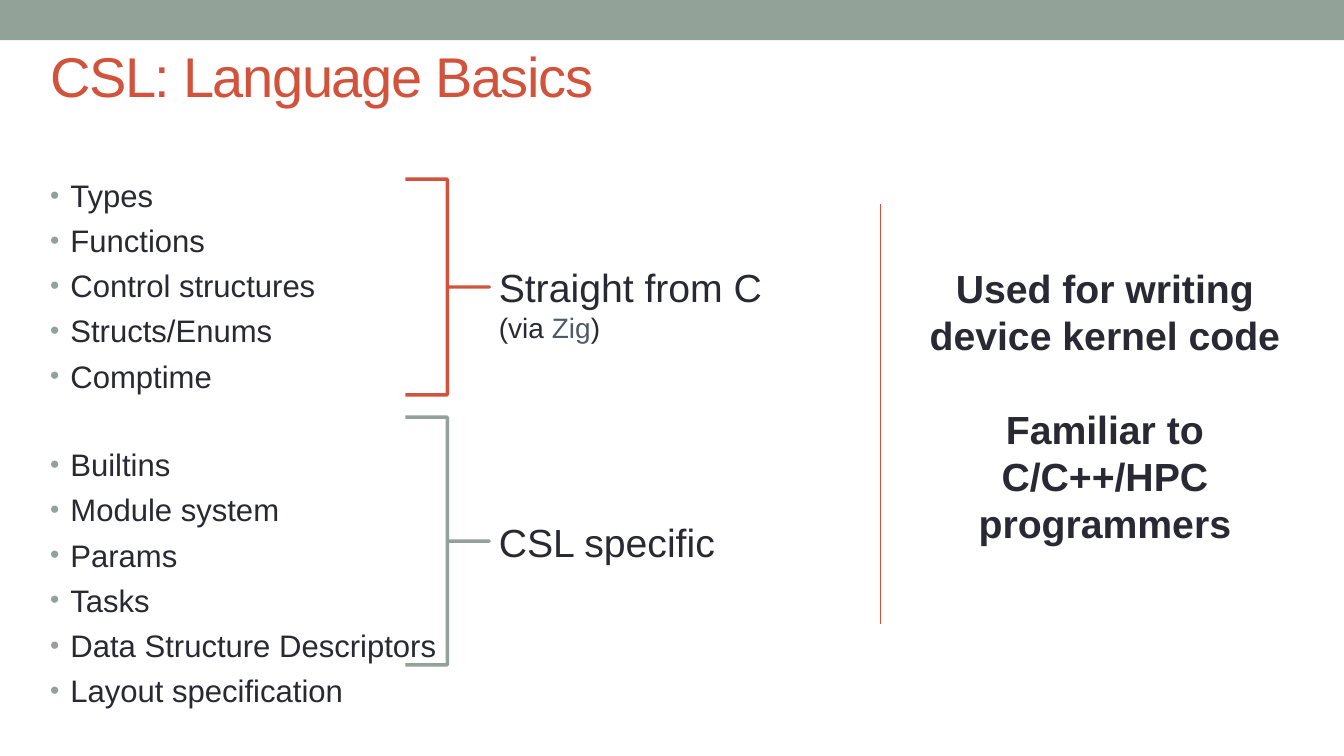
from lxml import etree
from pptx import Presentation
from pptx.dml.color import RGBColor
from pptx.enum.shapes import MSO_CONNECTOR, MSO_SHAPE
from pptx.enum.text import MSO_ANCHOR, PP_ALIGN
from pptx.oxml.ns import qn
from pptx.util import Pt

RECTANGLE = MSO_SHAPE.RECTANGLE
RIGHT_BRACE = MSO_SHAPE.RIGHT_BRACE
STRAIGHT = MSO_CONNECTOR.STRAIGHT
TOP, MIDDLE = MSO_ANCHOR.TOP, MSO_ANCHOR.MIDDLE
LEFT, CENTER = PP_ALIGN.LEFT, PP_ALIGN.CENTER

COLORS = {"sage": "93A299", "rust": "D2533C", "ink": "292934", "slate": "4C5A6A"}
C_TOPICS = ["Types", "Functions", "Control structures", "Structs/Enums", "Comptime"]
CSL_TOPICS = ["Builtins", "Module system", "Params", "Tasks",
              "Data Structure Descriptors", "Layout specification"]


class SlideBuilder:
    font = "Arial"

    def __init__(self, slide):
        self.slide = slide

    def color(self, name):
        return RGBColor.from_string(COLORS[name])

    def bar(self, left, top, width, height, color):
        shape = self.slide.shapes.add_shape(RECTANGLE, Pt(left), Pt(top), Pt(width), Pt(height))
        shape.shadow.inherit = False
        shape.fill.solid()
        shape.fill.fore_color.rgb = self.color(color)
        shape.line.fill.background()

    def brace(self, left, top, width, height, color):
        shape = self.slide.shapes.add_shape(RIGHT_BRACE, Pt(left), Pt(top), Pt(width), Pt(height))
        shape.shadow.inherit = False
        shape.adjustments[0] = 0
        shape.adjustments[1] = 0.5
        shape.fill.background()
        shape.line.color.rgb = self.color(color)
        shape.line.width = Pt(2.5)

    def divider(self, x, top, bottom, color):
        connector = self.slide.shapes.add_connector(STRAIGHT, Pt(x), Pt(top), Pt(x), Pt(bottom))
        connector.line.color.rgb = self.color(color)
        connector.line.width = Pt(0.75)
        etree.SubElement(connector._element.spPr, qn("a:effectLst"))

    def text(self, left, top, width, height, lines, size, color="ink",
             align=LEFT, anchor=TOP, bold=False):
        box = self.slide.shapes.add_textbox(Pt(left), Pt(top), Pt(width), Pt(height))
        text_frame = box.text_frame
        text_frame.word_wrap = True
        text_frame.vertical_anchor = anchor
        text_frame.text = "\n".join(lines)
        for paragraph in text_frame.paragraphs:
            paragraph.alignment = align
            for run in paragraph.runs:
                self.style(run, size, color, bold)
        return text_frame.paragraphs

    def style(self, run, size, color, bold=False):
        run.font.name = self.font
        run.font.size = Pt(size)
        run.font.bold = bold
        run.font.color.rgb = self.color(color)

    def bullet(self, paragraph, color, indent):
        properties = paragraph._p.get_or_add_pPr()
        properties.set("marL", str(Pt(indent)))
        properties.set("indent", str(-Pt(indent)))
        bullet_color = etree.SubElement(properties, qn("a:buClr"))
        etree.SubElement(bullet_color, qn("a:srgbClr"), val=COLORS[color])
        etree.SubElement(properties, qn("a:buSzPct"), val="85000")
        etree.SubElement(properties, qn("a:buFont"), typeface=self.font)
        etree.SubElement(properties, qn("a:buChar"), char="•")

    def bullets(self, left, top, width, height, groups, size, gap, group_gap):
        lines = [line for group in groups for line in group]
        group_starts = [group[0] for group in groups[1:]]
        for paragraph in self.text(left, top, width, height, lines, size):
            paragraph.space_before = Pt(group_gap if paragraph.text in group_starts else gap)
            self.bullet(paragraph, "sage", 14.4)


def main():
    presentation = Presentation()
    presentation.slide_width, presentation.slide_height = Pt(960), Pt(540)
    builder = SlideBuilder(presentation.slides.add_slide(presentation.slide_layouts[6]))

    builder.bar(0, 0, 960, 28.8, "sage")
    builder.bullets(28.8, 122.4, 866, 380, [C_TOPICS, CSL_TOPICS], 22.2, 5.6, 36.7)
    title = builder.text(28.8, 22.3, 866, 62.6, ["CSL: Language Basics"], 40, "rust", anchor=MIDDLE)
    title[0].runs[0]._r.get_or_add_rPr().set("spc", "-100")

    builder.brace(289.5, 128, 60, 154, "rust")
    builder.brace(289.5, 298, 60, 177, "sage")

    origin = builder.text(349.2, 184.3, 336, 65.5, ["Straight from C", "(via "], 28)[1]
    for words in ("Zig", ")"):
        origin.add_run().text = words
    for run, color in zip(origin.runs, ("ink", "slate", "ink")):
        builder.style(run, 20, color)
    builder.text(349.2, 366.5, 270, 41, ["CSL specific"], 28)

    remarks = ["Used for writing device kernel code", "Familiar to C/C++/HPC programmers"]
    audience = builder.text(638, 185, 302.4, 211, remarks, 28, align=CENTER, bold=True)[1]
    audience.space_before = Pt(33.5)
    builder.divider(629, 145.5, 445.7, "rust")

    presentation.save("out.pptx")


if __name__ == "__main__":
    main()
